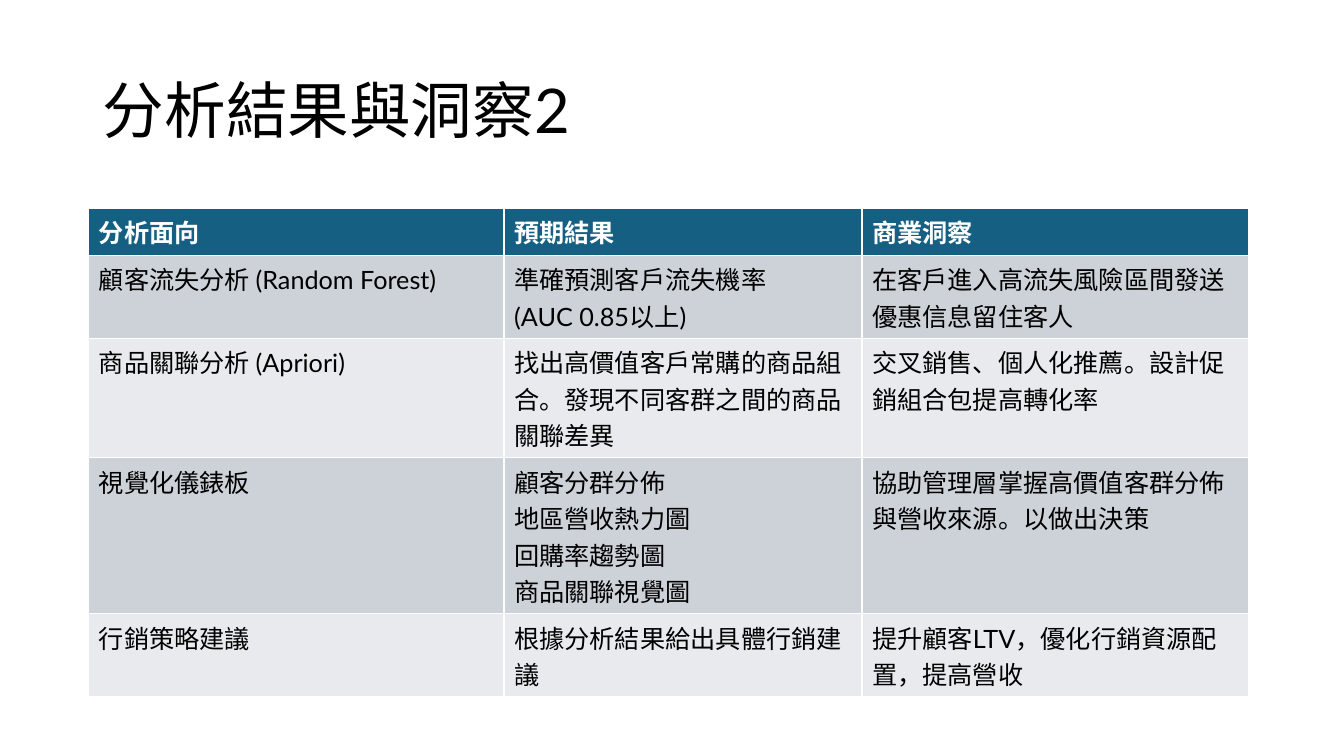
from pptx import Presentation
from pptx.dml.color import RGBColor
from pptx.enum import text
from pptx.util import Inches, Pt

FONT = "Lato"
BLACK = RGBColor(0x00, 0x00, 0x00)
WHITE = RGBColor(0xFF, 0xFF, 0xFF)
TEAL = RGBColor(0x15, 0x60, 0x82)
BAND_DARK = RGBColor(0xCC, 0xD2, 0xD8)
BAND_LIGHT = RGBColor(0xE8, 0xEA, 0xED)

# "\n" starts a paragraph, "\v" breaks a line
ROWS = [
    ("分析面向", "預期結果", "商業洞察"),
    ("顧客流失分析 (Random Forest)",
     "準確預測客戶流失機率\v(AUC 0.85以上)",
     "在客戶進入高流失風險區間發送優惠信息留住客人"),
    ("商品關聯分析 (Apriori)",
     "找出高價值客戶常購的商品組合。發現不同客群之間的商品關聯差異",
     "交叉銷售、個人化推薦。設計促銷組合包提高轉化率"),
    ("視覺化儀錶板",
     "顧客分群分佈\n地區營收熱力圖\n回購率趨勢圖\n商品關聯視覺圖",
     "協助管理層掌握高價值客群分佈與營收來源。以做出決策"),
    ("行銷策略建議",
     "根據分析結果給出具體行銷建議",
     "提升顧客LTV，優化行銷資源配置，提高營收"),
]
COLUMN_WIDTHS = (4.12, 3.55, 3.83)
ROW_HEIGHT = 0.41


def style_font(font, size, color, bold=False):
    font.name = FONT
    font.size = Pt(size)
    font.bold = bold
    font.color.rgb = color


deck = Presentation()
deck.slide_width, deck.slide_height = Inches(13.33), Inches(7.5)
page = deck.slides.add_slide(deck.slide_layouts[5])

# Title
title = page.shapes.title
title.left, title.top = Inches(0.92), Inches(0.4)
title.width, title.height = Inches(11.5), Inches(1.45)
frame = title.text_frame
frame.text = "分析結果與洞察2"
frame.vertical_anchor = text.MSO_ANCHOR.MIDDLE
frame.auto_size = text.MSO_AUTO_SIZE.NONE
para = frame.paragraphs[0]
para.alignment = text.PP_ALIGN.LEFT
para.line_spacing = 0.9
style_font(para.font, 44, BLACK)

# Table of findings; the default table style draws the white rules
table = page.shapes.add_table(
    len(ROWS), len(COLUMN_WIDTHS), Inches(0.88), Inches(2.07),
    Inches(sum(COLUMN_WIDTHS)), Inches(ROW_HEIGHT * len(ROWS))).table
for column, width in zip(table.columns, COLUMN_WIDTHS):
    column.width = Inches(width)

for row_index, row in enumerate(ROWS):
    table.rows[row_index].height = Inches(ROW_HEIGHT)
    header = row_index == 0
    band = BAND_DARK if row_index % 2 else BAND_LIGHT
    for column_index, words in enumerate(row):
        cell = table.cell(row_index, column_index)
        cell.fill.solid()
        cell.fill.fore_color.rgb = TEAL if header else band
        cell.text = words
        for para in cell.text_frame.paragraphs:
            style_font(para.font, 18, WHITE if header else BLACK, header)

deck.save("out.pptx")
